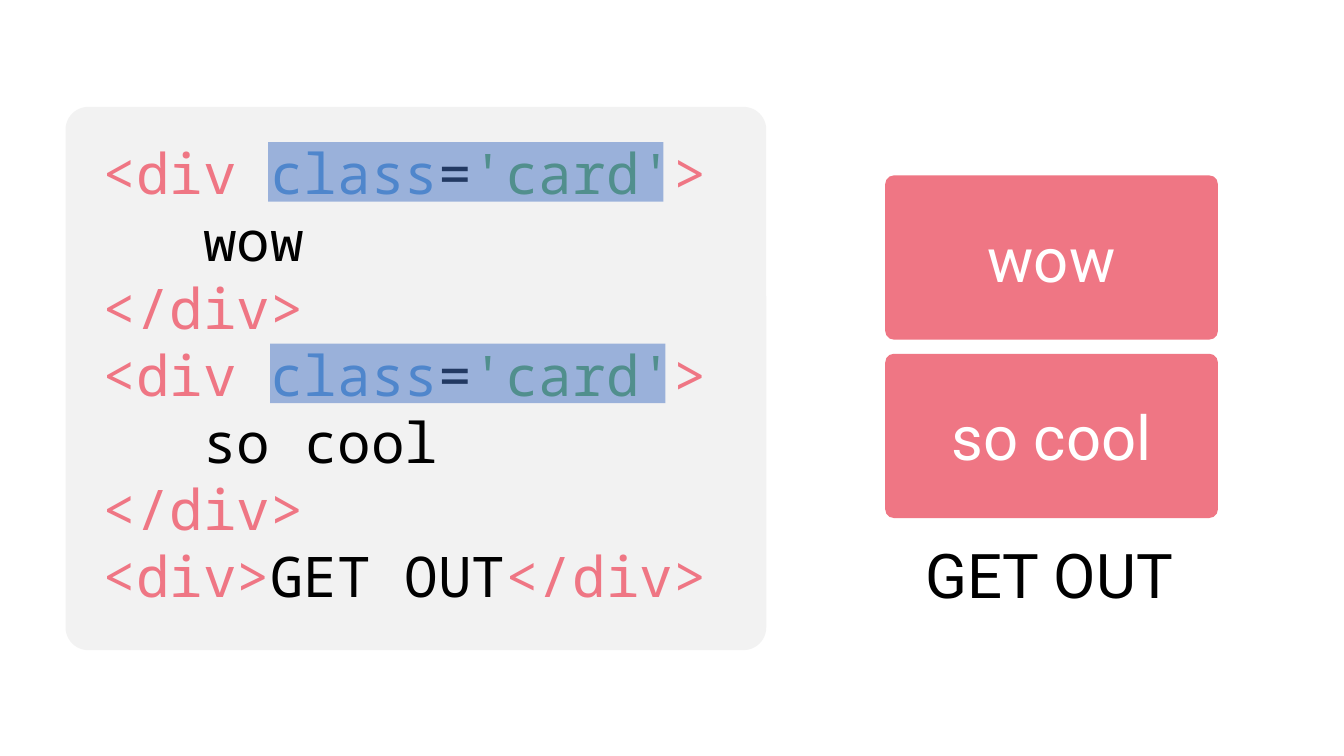
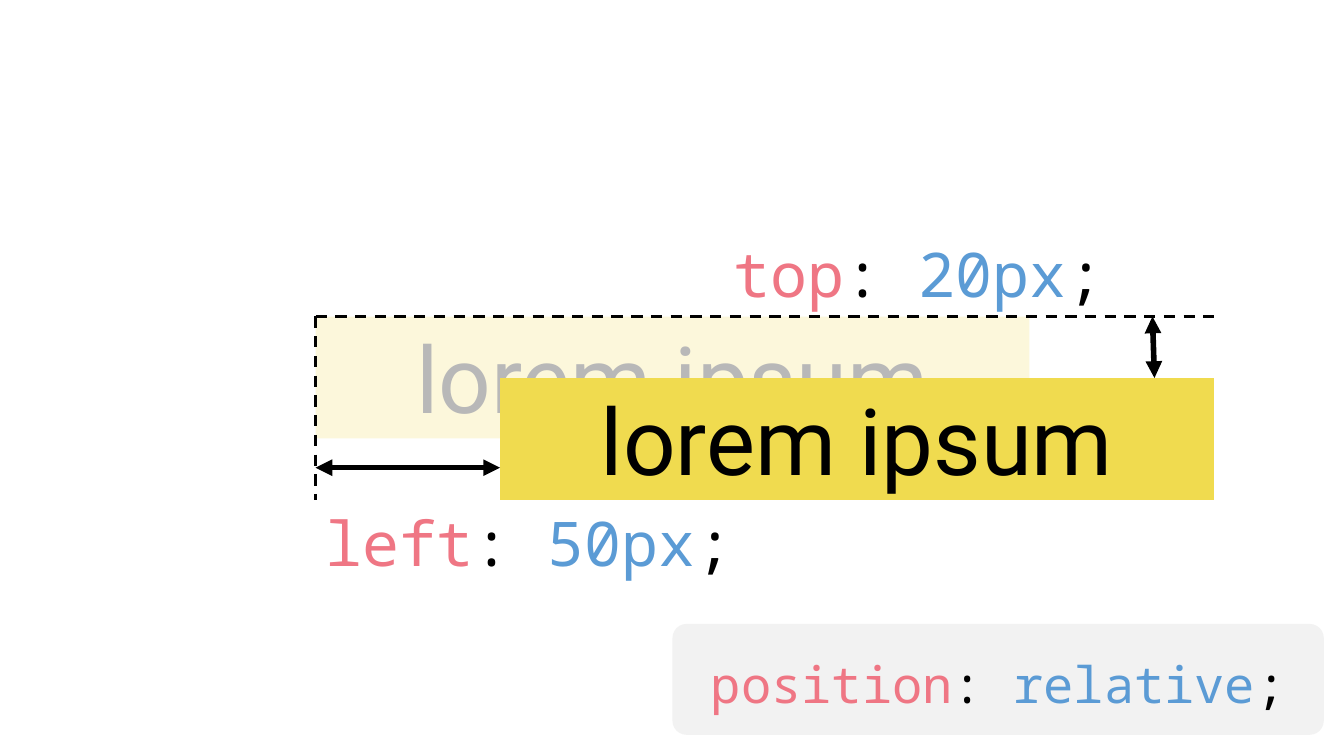
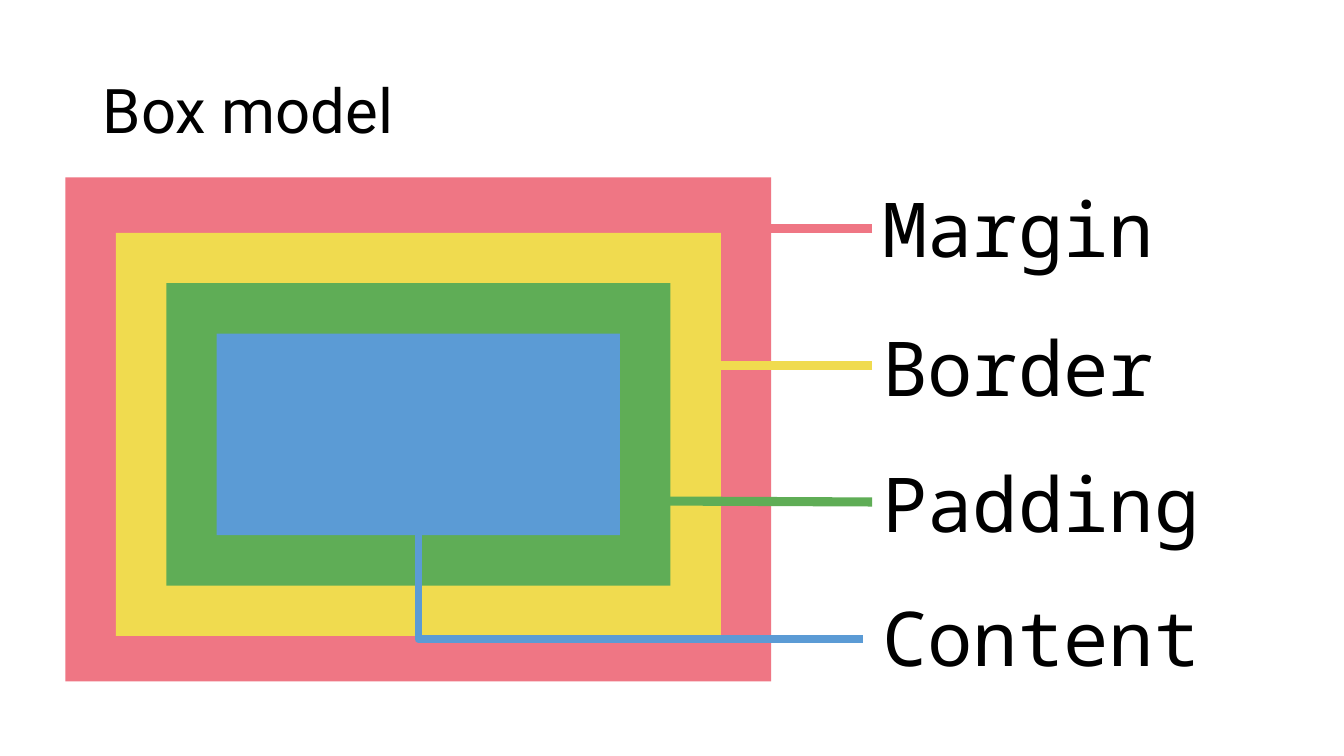
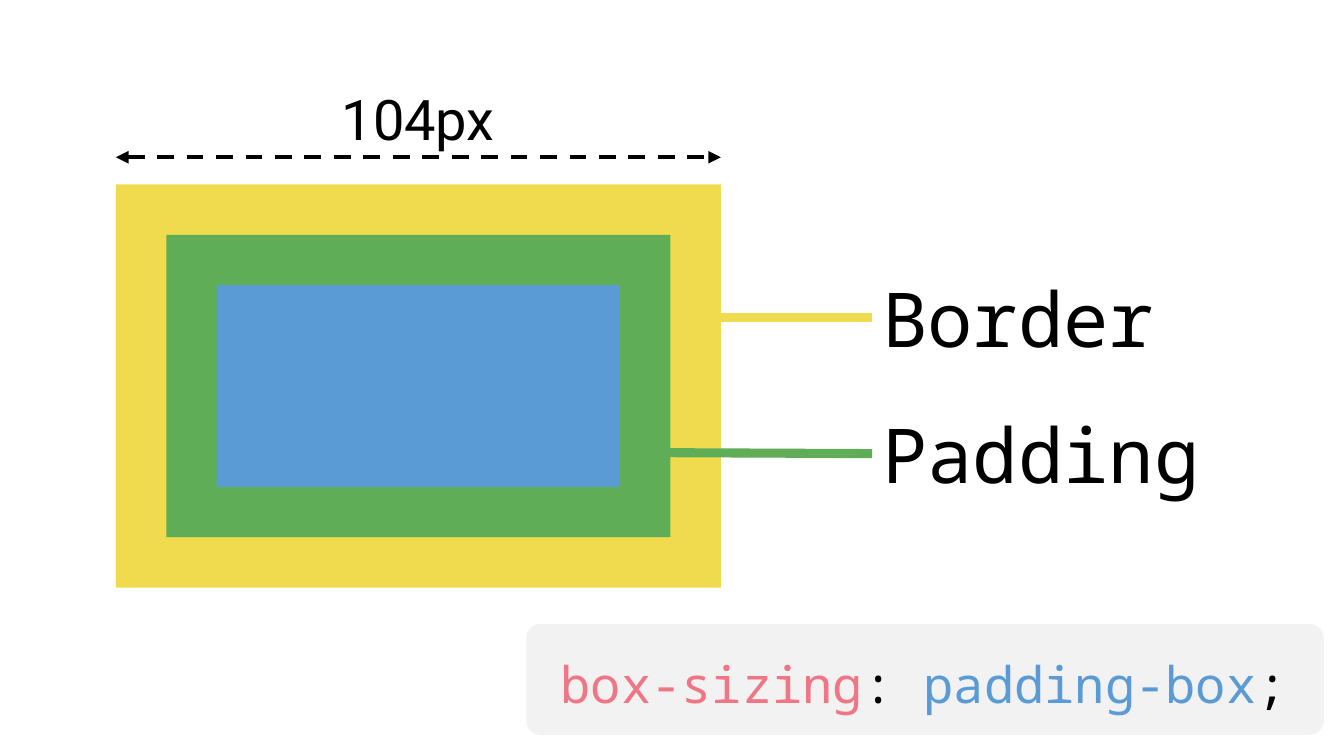
import dataclasses

import lxml.etree
import pptx
import pptx.dml.color
import pptx.enum.dml
import pptx.enum.shapes
import pptx.enum.text
import pptx.oxml.ns
import pptx.util

EMU_PER_PX = 9144  # 100 px to the inch
Shapes = pptx.enum.shapes.MSO_SHAPE
Connectors = pptx.enum.shapes.MSO_CONNECTOR
Align = pptx.enum.text.PP_ALIGN
Anchor = pptx.enum.text.MSO_ANCHOR
qn = pptx.oxml.ns.qn


@dataclasses.dataclass(frozen=True)
class Theme:
    pink: str = "EF7684"
    yellow: str = "F0DB4F"
    green: str = "5FAD56"
    blue: str = "5B9BD5"
    highlight: str = "4472C4"
    panel: str = "F2F2F2"
    black: str = "000000"
    white: str = "FFFFFF"
    faded: str = "B8B8B8"
    sans: str = "Roboto"
    mono: str = "Noto Sans Mono"
    bar_size: int = 36
    code_size: int = 40
    text_size: int = 44
    label_size: int = 54
    sample_size: int = 66
    callout_width: float = 6.5


THEME = Theme()


def px(length):
    return pptx.util.Emu(length * EMU_PER_PX)


def rgb(color):
    return pptx.dml.color.RGBColor.from_string(color)


def declaration(name, value):
    """Coloured runs of one CSS declaration."""
    return [(name, THEME.pink), (": ", THEME.black), (value, THEME.blue), (";", THEME.black)]


class Deck:
    def __init__(self, width, height):
        self.presentation = pptx.Presentation()
        self.presentation.slide_width = px(width)
        self.presentation.slide_height = px(height)
        self.slide = None

    def new_slide(self, title=None):
        layout = "Blank" if title is None else "Title Only"
        layouts = self.presentation.slide_layouts
        self.slide = self.presentation.slides.add_slide(layouts.get_by_name(layout))
        if title is not None:
            shape = self.slide.shapes.title
            shape.left, shape.top, shape.width, shape.height = map(px, (92, 40, 1150, 145))
            self.set_lines(shape, [[(title, THEME.black)]], THEME.text_size, anchor=Anchor.MIDDLE)
            shape.text_frame.paragraphs[0].line_spacing = 0.9

    def set_lines(self, shape, lines, size, font=THEME.sans, align=Align.LEFT,
                  anchor=Anchor.TOP, margins=(10, 5)):
        """Fill a shape with lines, each a list of (text, colour) runs."""
        frame = shape.text_frame
        frame.word_wrap = True
        frame.auto_size = pptx.enum.text.MSO_AUTO_SIZE.NONE
        frame.vertical_anchor = anchor
        frame.margin_left = frame.margin_right = px(margins[0])
        frame.margin_top = frame.margin_bottom = px(margins[1])
        for index, runs in enumerate(lines):
            paragraph = frame.add_paragraph() if index else frame.paragraphs[0]
            paragraph.alignment = align
            paragraph.font.name = font
            paragraph.font.size = pptx.util.Pt(size)
            paragraph.font.color.rgb = rgb(runs[0][1])
            for text, color in runs:
                run = paragraph.add_run()
                run.text = text
                if color != runs[0][1]:
                    run.font.color.rgb = rgb(color)

    def text(self, left, top, width, height, runs, size, font=THEME.sans):
        shape = self.slide.shapes.add_textbox(px(left), px(top), px(width), px(height))
        self.set_lines(shape, [runs], size, font)

    def box(self, left, top, width, height, color, opacity=100, rounding=None):
        kind = Shapes.RECTANGLE if rounding is None else Shapes.ROUNDED_RECTANGLE
        shape = self.slide.shapes.add_shape(kind, px(left), px(top), px(width), px(height))
        if rounding is not None:
            shape.adjustments[0] = rounding
        shape.shadow.inherit = False
        shape.line.fill.background()
        shape.fill.solid()
        shape.fill.fore_color.rgb = rgb(color)
        if opacity < 100:
            fill = shape._element.spPr.find(qn("a:solidFill"))
            lxml.etree.SubElement(fill[0], qn("a:alpha"), val=str(opacity * 1000))
        return shape

    def line(self, start, end, color, width, dashed=False, arrows=False,
             kind=Connectors.STRAIGHT):
        connector = self.slide.shapes.add_connector(kind, *map(px, (*start, *end)))
        connector.line.color.rgb = rgb(color)
        connector.line.width = pptx.util.Pt(width)
        if dashed:
            connector.line.dash_style = pptx.enum.dml.MSO_LINE.DASH
        properties = connector._element.spPr
        if arrows:
            outline = properties.find(qn("a:ln"))
            for tag in ("a:headEnd", "a:tailEnd"):
                lxml.etree.SubElement(outline, qn(tag), type="triangle")
        lxml.etree.SubElement(properties, qn("a:effectLst"))
        return connector

    def down_then_right(self, start, end, color, width):
        """Draw a one-bend connector, stored as a frame turned by 270 degrees."""
        run, drop = end[0] - start[0], end[1] - start[1]
        left = (start[0] + end[0] - drop) // 2
        top = (start[1] + end[1] - run) // 2
        connector = self.line((left + drop, top), (left, top + run), color, width,
                              kind=Connectors.ELBOW)
        properties = connector._element.spPr
        properties.find(qn("a:xfrm")).set("rot", str(270 * 60000))
        properties.find(qn("a:prstGeom")).set("prst", "bentConnector2")

    def code_bar(self, left, runs, align=Align.LEFT):
        """Put one line of code in the lower right corner."""
        shape = self.box(left, 619, 1313 - left, 110, THEME.panel, rounding=0.127)
        self.set_lines(shape, [runs], THEME.bar_size, THEME.mono, align, margins=(30, 25))

    def label(self, top, text):
        self.text(865, top, 338, 101, [(text, THEME.black)], THEME.label_size, THEME.mono)

    def callout(self, left, left_y, right_y, color):
        self.line((865, right_y), (left, left_y), color, THEME.callout_width)

    def inner_boxes(self, top):
        """Nest border, padding and content, and label the first two."""
        for index, color in enumerate((THEME.yellow, THEME.green, THEME.blue)):
            inset = 50 * index
            self.box(115 + inset, top + inset, 600 - 2 * inset, 400 - 2 * inset, color)
        self.callout(690, top + 132, top + 132, THEME.yellow)
        self.callout(640, top + 266, top + 267, THEME.green)
        self.label(top + 82, "Border")
        self.label(top + 217, "Padding")


def class_slide(deck):
    deck.new_slide()
    opening = [("<div ", THEME.pink), ("class", THEME.blue), ("=", THEME.black),
               ("'card'", THEME.green), (">", THEME.pink)]
    closing = [("</div>", THEME.pink)]
    cards = ("wow", "so cool")
    lines = []
    for card in cards:
        lines += [opening, [(card, THEME.black)], closing]
    lines.append([("<div>", THEME.pink), ("GET OUT", THEME.black), *closing])
    panel = deck.box(65, 106, 695, 539, THEME.panel, rounding=0.042)
    deck.set_lines(panel, lines, THEME.code_size, THEME.mono, margins=(30, 25))
    for index, card in enumerate(cards):
        indented = panel.text_frame.paragraphs[3 * index + 1]
        indented._p.get_or_add_pPr().set("marL", str(px(100)))
        shape = deck.box(878, 174 + 177 * index, 330, 163, THEME.pink, rounding=0.053)
        deck.set_lines(shape, [[(card, THEME.white)]], THEME.text_size,
                       align=Align.CENTER, anchor=Anchor.MIDDLE)
        deck.box(266 + 2 * index, 141 + 200 * index, 392, 59, THEME.highlight, opacity=50)
    deck.text(908, 528, 270, 84, [("GET OUT", THEME.black)], THEME.text_size)


def position_slide(deck):
    deck.new_slide()
    deck.code_bar(667, declaration("position", "relative"), Align.CENTER)
    left, top, right, bottom = 313, 314, 1204, 496
    moved_left, moved_top = 496, 375
    for x, y, opacity, color in ((left, top, 20, THEME.faded),
                                 (moved_left, moved_top, 100, THEME.black)):
        shape = deck.box(x, y, 708, 121, THEME.yellow, opacity)
        deck.set_lines(shape, [[("lorem ipsum", color)]], THEME.sample_size, align=Align.CENTER)
    for end in ((right, top), (left, bottom)):
        deck.line((left, top), end, THEME.black, 2, dashed=True)
    deck.line((moved_left, 464), (left, 464), THEME.black, 4, arrows=True)
    deck.line((1143, top), (1145, moved_top), THEME.black, 4, arrows=True)
    deck.text(718, 229, 390, 84, declaration("top", "20px"), THEME.text_size, THEME.mono)
    deck.text(left, bottom, 427, 84, declaration("left", "50px"), THEME.text_size, THEME.mono)


def box_model_slide(deck):
    deck.new_slide("Box model")
    deck.box(65, 176, 700, 500, THEME.pink)
    deck.callout(760, 227, 227, THEME.pink)
    deck.label(176, "Margin")
    deck.inner_boxes(231)
    deck.down_then_right((415, 531), (856, 634), THEME.blue, 5.6)
    deck.label(581, "Content")


def box_sizing_slide(deck):
    deck.new_slide()
    deck.inner_boxes(183)
    deck.line((115, 156), (715, 156), THEME.black, 3, dashed=True, arrows=True)
    deck.text(329, 79, 173, 77, [("104px", THEME.black)], THEME.code_size)
    deck.code_bar(522, declaration("box-sizing", "padding-box"))


def main():
    deck = Deck(1333, 750)
    class_slide(deck)
    position_slide(deck)
    box_model_slide(deck)
    box_sizing_slide(deck)
    deck.presentation.save("out.pptx")


if __name__ == "__main__":
    main()
